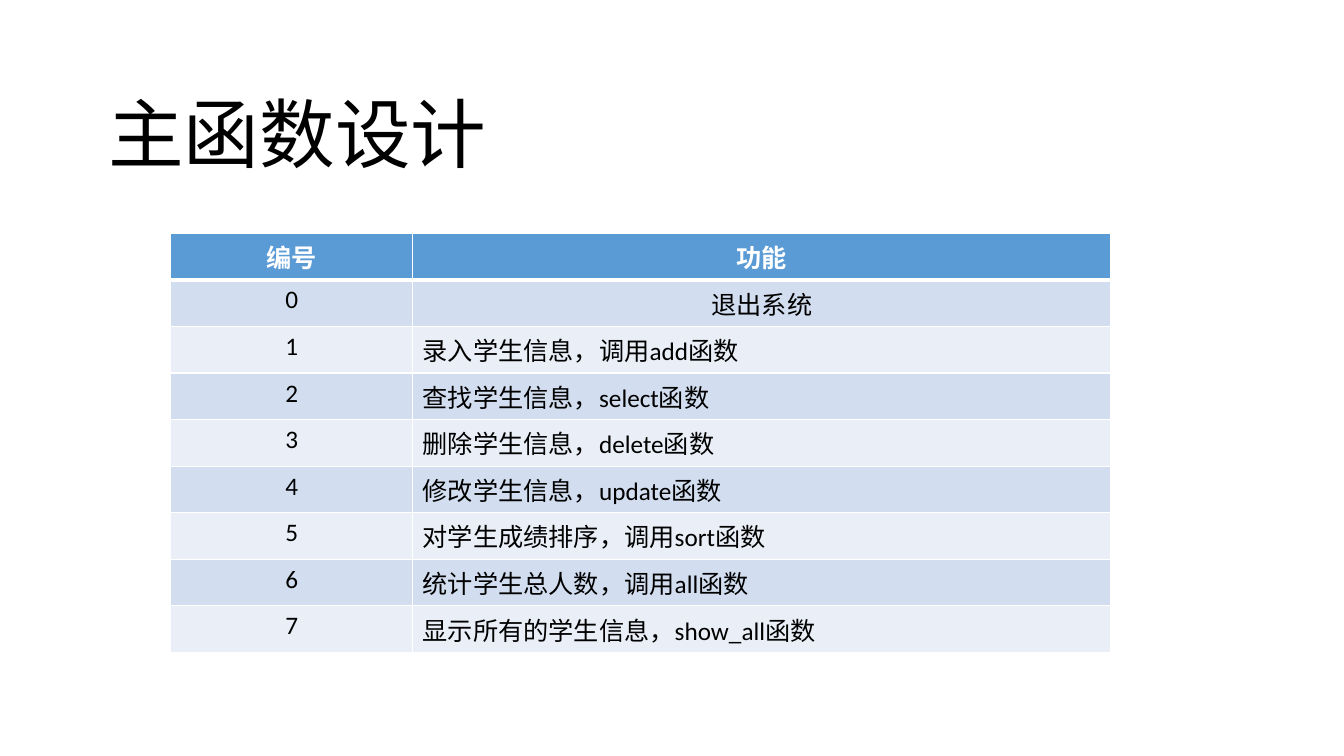
from lxml import etree
from pptx import Presentation
from pptx.dml.color import RGBColor
from pptx.enum.text import MSO_ANCHOR, PP_ALIGN
from pptx.oxml.ns import qn
from pptx.util import Cm, Pt

BOTTOM = MSO_ANCHOR.BOTTOM
LEFT, CENTER = PP_ALIGN.LEFT, PP_ALIGN.CENTER

BLACK = RGBColor(0x00, 0x00, 0x00)
WHITE = RGBColor(0xFF, 0xFF, 0xFF)
HEADER_BLUE = RGBColor(0x5B, 0x9B, 0xD5)
BAND_DARK = RGBColor(0xD2, 0xDE, 0xEF)
BAND_LIGHT = RGBColor(0xEA, 0xEF, 0xF7)
FONT = "Calibri"

HEADER = ("编号", "功能")
FUNCTIONS = [
    "退出系统",
    "录入学生信息，调用add函数",
    "查找学生信息，select函数",
    "删除学生信息，delete函数",
    "修改学生信息，update函数",
    "对学生成绩排序，调用sort函数",
    "统计学生总人数，调用all函数",
    "显示所有的学生信息，show_all函数",
]


def style_paragraph(p, size, color, bold=False, align=LEFT):
    p.alignment = align
    p.font.name = FONT
    p.font.size = Pt(size)
    p.font.bold = bold
    p.font.color.rgb = color


def set_borders(cell, top, bottom):
    """Draw white borders; widths in points, sides always 1 pt."""
    tc_pr = cell._tc.get_or_add_tcPr()
    for side, width in (("L", 1), ("R", 1), ("T", top), ("B", bottom)):
        ln = etree.SubElement(tc_pr, qn(f"a:ln{side}"), w=str(Pt(width)))
        fill = etree.SubElement(ln, qn("a:solidFill"))
        etree.SubElement(fill, qn("a:srgbClr"), val=str(WHITE))


def add_title(s, text, left, top, width, height):
    tf = s.shapes.add_textbox(left, top, width, height).text_frame
    tf.word_wrap = True
    tf.vertical_anchor = BOTTOM
    p = tf.paragraphs[0]
    p.text = text
    p.line_spacing = 0.9
    style_paragraph(p, 54, BLACK)


def add_function_table(s, left, top, width, height):
    rows = [HEADER] + [(str(i), name) for i, name in enumerate(FUNCTIONS)]
    table = s.shapes.add_table(len(rows), 2, left, top, width, height).table
    table.first_row = table.horz_banding = False
    number_width = Cm(6.1)
    table.columns[0].width = number_width
    table.columns[1].width = width - number_width

    for i, row in enumerate(rows):
        is_header = i == 0
        band = BAND_DARK if i % 2 else BAND_LIGHT
        for j, text in enumerate(row):
            cell = table.cell(i, j)
            # The line under the header is thicker
            set_borders(cell, 3 if i == 1 else 1, 3 if is_header else 1)
            cell.fill.solid()
            cell.fill.fore_color.rgb = HEADER_BLUE if is_header else band
            p = cell.text_frame.paragraphs[0]
            p.text = text
            # Numbers, header and the exit row are centred
            align = CENTER if j == 0 or i <= 1 else LEFT
            style_paragraph(p, 18, WHITE if is_header else BLACK, is_header, align)


def main():
    prs = Presentation()
    prs.slide_width, prs.slide_height = Cm(33.87), Cm(19.05)
    s = prs.slides.add_slide(prs.slide_layouts[6])

    # Title
    add_title(s, "主函数设计", Cm(2.48), Cm(2.28), Cm(25.4), Cm(2.35))
    # Menu numbers and their functions
    add_function_table(s, Cm(4.3), Cm(5.88), Cm(23.7), Cm(10.56))

    prs.save("out.pptx")


if __name__ == "__main__":
    main()
